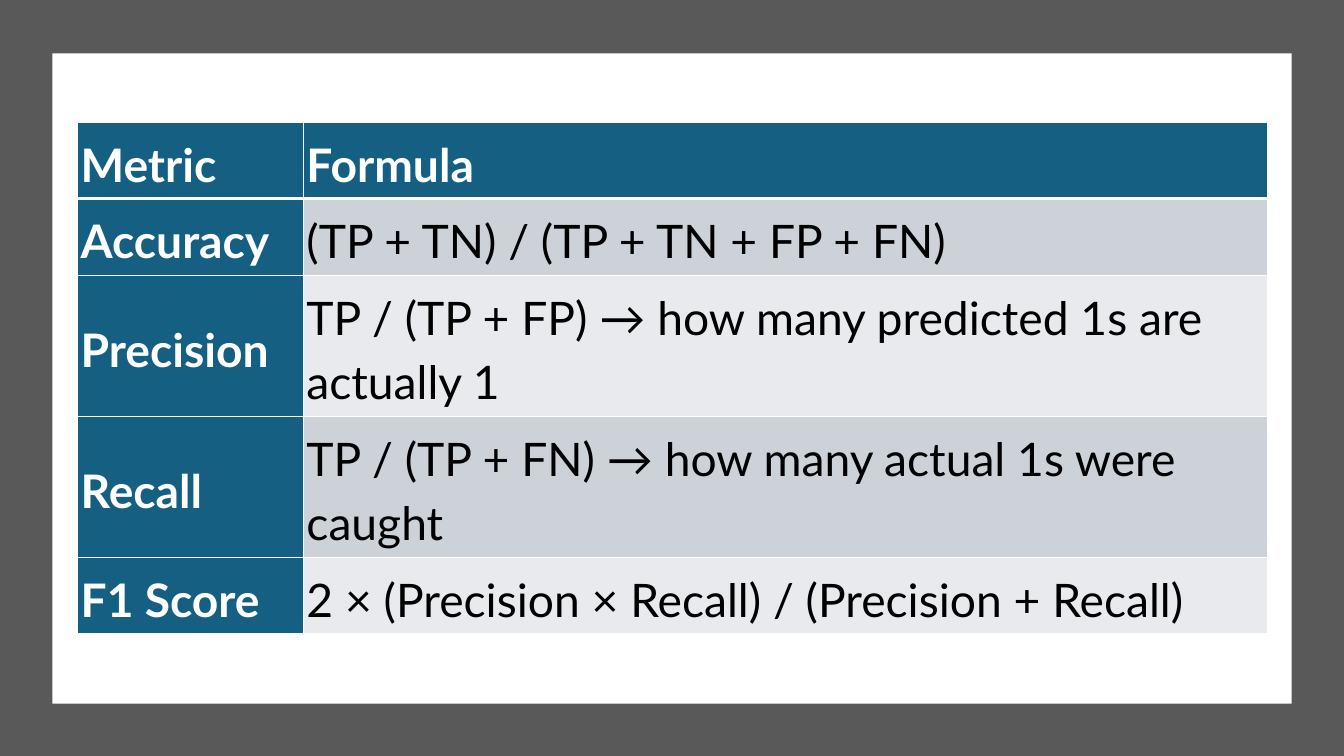
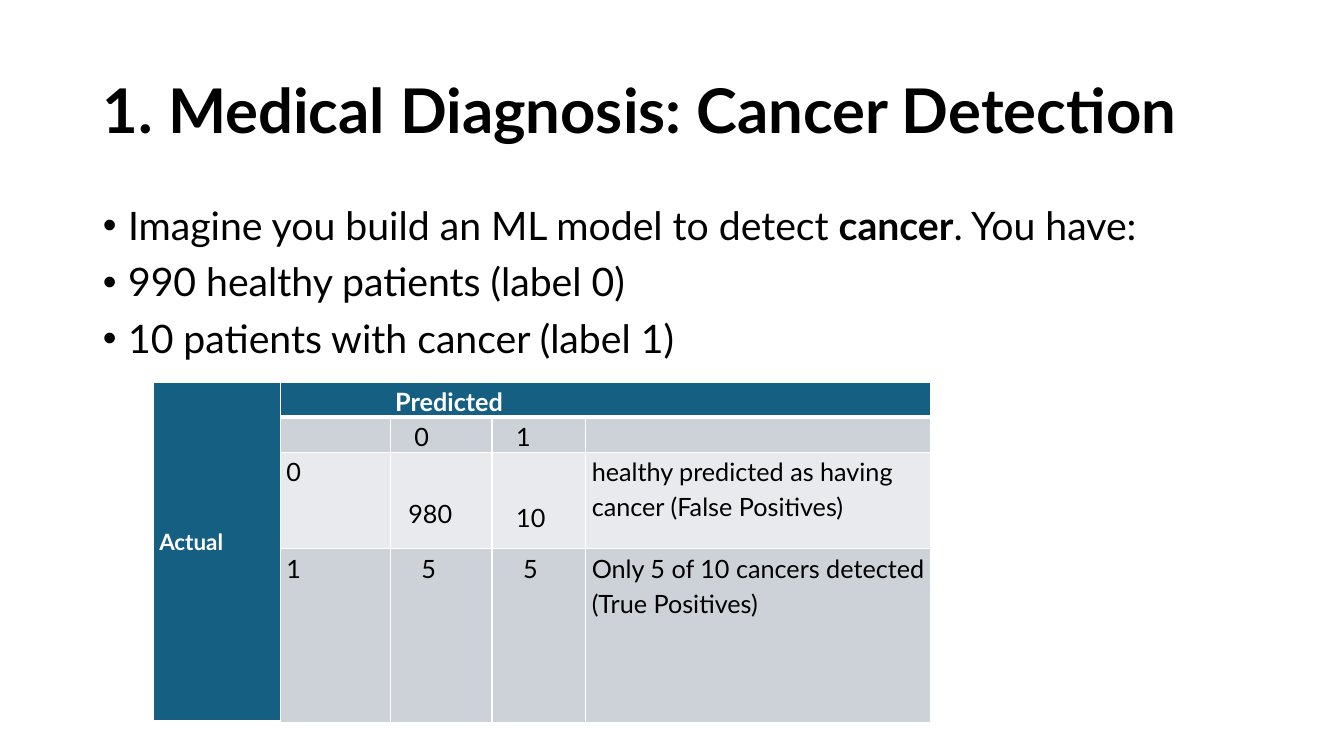
from lxml import etree
from pptx import Presentation
from pptx.dml.color import RGBColor
from pptx.enum.shapes import MSO_SHAPE
from pptx.enum.text import MSO_ANCHOR, MSO_AUTO_SIZE, PP_ALIGN
from pptx.oxml.ns import qn
from pptx.util import Inches, Pt

RECTANGLE = MSO_SHAPE.RECTANGLE
TOP, MIDDLE = MSO_ANCHOR.TOP, MSO_ANCHOR.MIDDLE
LEFT = PP_ALIGN.LEFT
NO_AUTOFIT = MSO_AUTO_SIZE.NONE

FONT = "Lato"
COLORS = {
    "white": "FFFFFF",
    "black": "000000",
    "frame": "595959",
    "header": "156082",
    "odd_row": "CCD2D8",
    "even_row": "E8EAED",
}


def color(name):
    return RGBColor.from_string(COLORS[name])


def add_styled_table(page, left, top, columns, rows, texts, size, merges=()):
    """Add a table with a dark first row and column, banded rows and white rules."""
    frame = page.shapes.add_table(len(rows), len(columns), Inches(left), Inches(top),
                                  Inches(sum(columns)), Inches(sum(rows)))
    table = frame.table
    for column, width in zip(table.columns, columns):
        column.width = Inches(width)
    for row, height in zip(table.rows, rows):
        row.height = Inches(height)
    for first, last in merges:
        table.cell(*first).merge(table.cell(*last))
    for r, row_texts in enumerate(texts):
        for c, text in enumerate(row_texts):
            cell = table.cell(r, c)
            is_header = r == 0 or c == 0
            band = "odd_row" if r % 2 else "even_row"
            cell.fill.solid()
            cell.fill.fore_color.rgb = color("header" if is_header else band)
            cell.margin_left = cell.margin_right = Inches(0.03)
            cell.margin_top = cell.margin_bottom = Inches(0)
            # Borders, with a thick rule below the header row
            widths = {"lnL": 1, "lnR": 1, "lnT": 3 if r == 1 else 1, "lnB": 3 if r == 0 else 1}
            properties = cell._tc.get_or_add_tcPr()
            for position, (side, width) in enumerate(widths.items()):
                line = etree.Element(qn("a:" + side), w=str(Pt(width)))
                line_fill = etree.SubElement(line, qn("a:solidFill"))
                etree.SubElement(line_fill, qn("a:srgbClr"), val=COLORS["white"])
                properties.insert(position, line)
            # Text
            if text:
                cell.text_frame.text = text
            para = cell.text_frame.paragraphs[0]
            para.line_spacing = 1.15
            for span in para.runs:
                span.font.name = FONT
                span.font.size = Pt(size)
                span.font.bold = is_header
                span.font.color.rgb = color("white" if is_header else "black")
    return table


deck = Presentation()
deck.slide_width, deck.slide_height = Inches(13.33), Inches(7.5)

# Slide 1: metric formulas on a framed panel
page = deck.slides.add_slide(deck.slide_layouts[6])
panels = [("frame", 0, 0, 13.33, 7.5), ("white", 0.52, 0.53, 12.29, 6.45)]
for fill, left, top, width, height in panels:
    panel = page.shapes.add_shape(RECTANGLE, Inches(left), Inches(top),
                                  Inches(width), Inches(height))
    panel.shadow.inherit = False
    panel.fill.solid()
    panel.fill.fore_color.rgb = color(fill)
    panel.line.fill.background()

metrics = [
    ("Metric", "Formula"),
    ("Accuracy", "(TP + TN) / (TP + TN + FP + FN)"),
    ("Precision", "TP / (TP + FP) → how many predicted 1s are actually 1"),
    ("Recall", "TP / (TP + FN) → how many actual 1s were caught"),
    ("F1 Score", "2 × (Precision × Recall) / (Precision + Recall)"),
]
metric_table = add_styled_table(page, 0.77, 1.21, [2.24, 9.56],
                                [0.76, 0.76, 1.4, 1.4, 0.76], metrics, 33)
for cell in metric_table.iter_cells():
    cell.vertical_anchor = MIDDLE
    cell.margin_top = cell.margin_bottom = Inches(0.03)

# Slide 2: title
page = deck.slides.add_slide(deck.slide_layouts[1])
title = page.shapes.title
title.left, title.top, title.width, title.height = map(Inches, (0.92, 0.4, 11.5, 1.45))
title.text_frame.text = "1. Medical Diagnosis: Cancer Detection"
title.text_frame.vertical_anchor = MIDDLE
title.text_frame.auto_size = NO_AUTOFIT
para = title.text_frame.paragraphs[0]
para.alignment = LEFT
para.line_spacing = 0.9
para.font.name = FONT
para.font.size = Pt(44)
para.font.bold = True
para.font.color.rgb = color("black")

# Bullets: every second part of a line is bold
bullets = [
    ["Imagine you build an ML model to detect ", "cancer", ". You have:"],
    ["990 healthy patients (label 0)"],
    ["10 patients with cancer (label 1)"],
]
body = page.placeholders[1]
body.left, body.top, body.width, body.height = map(Inches, (0.92, 2, 11.5, 4.76))
body.text_frame.auto_size = NO_AUTOFIT
body.text_frame.vertical_anchor = TOP
for i, parts in enumerate(bullets):
    para = body.text_frame.add_paragraph() if i else body.text_frame.paragraphs[0]
    para.line_spacing = 0.9
    para.space_before = Pt(10 if i else 0)
    paragraph_properties = para._p.get_or_add_pPr()
    paragraph_properties.set("marL", str(Inches(0.25)))
    paragraph_properties.set("indent", str(Inches(-0.25)))
    for j, part in enumerate(parts):
        span = para.add_run()
        span.text = part
        span.font.name = FONT
        span.font.size = Pt(28)
        span.font.bold = j % 2 == 1
        span.font.color.rgb = color("black")

# Confusion matrix
matrix = [
    ("Actual", "Predicted", "", "", ""),
    ("", "", "0", "1", ""),
    ("", "0", "980", "10", "healthy predicted as having cancer (False Positives)"),
    ("", "1", "5", "5", "Only 5 of 10 cancers detected (True Positives)"),
]
matrix_table = add_styled_table(page, 1.52, 3.79, [1.26, 1.09, 1.01, 0.93, 3.42],
                                [0.35, 0.34, 0.96, 1.72], matrix, 18,
                                merges=[((0, 0), (3, 0)), ((0, 1), (0, 4))])
for cell in matrix_table.iter_cells():
    cell.margin_left = Inches(0.06)
matrix_table.cell(0, 0).text_frame.paragraphs[0].runs[0].font.size = Pt(16)

# Left and top insets that place labels and counts within their cells
insets = {
    (0, 0): (0.06, 1.41), (0, 1): (1.14, 0),
    (1, 2): (0.24, 0), (1, 3): (0.24, 0),
    (2, 2): (0.18, 0.42), (2, 3): (0.24, 0.46),
    (3, 2): (0.31, 0), (3, 3): (0.31, 0),
}
for position, (left, top) in insets.items():
    cell = matrix_table.cell(*position)
    cell.margin_left, cell.margin_top = Inches(left), Inches(top)

deck.save("out.pptx")
